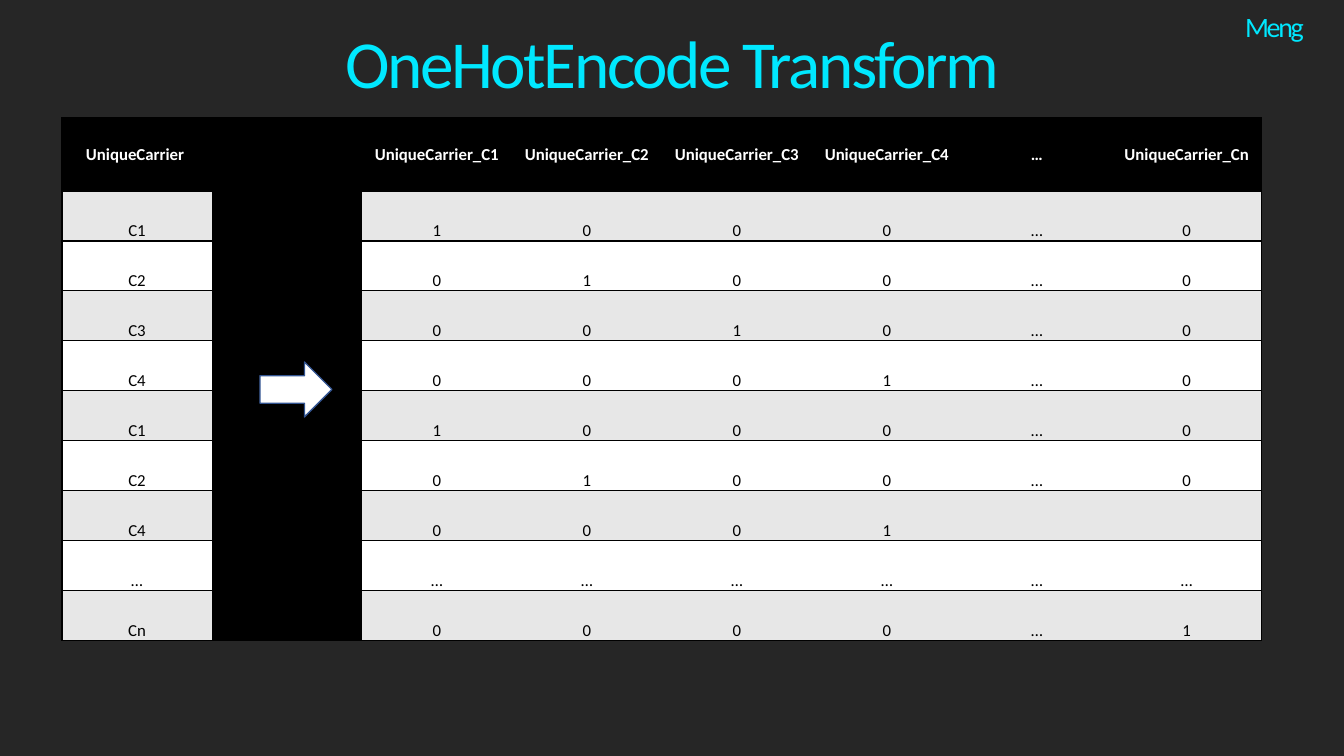
from lxml.etree import SubElement
from pptx import Presentation
from pptx.dml.color import RGBColor
from pptx.enum.shapes import MSO_SHAPE
from pptx.enum.text import MSO_ANCHOR, PP_ALIGN
from pptx.oxml.ns import qn
from pptx.util import Pt

PX = 914400 / 100.8
FONT = "Calibri"
BACKGROUND = RGBColor(0x26, 0x26, 0x26)
BLACK = RGBColor(0, 0, 0)
WHITE = RGBColor(0xFF, 0xFF, 0xFF)
BAND = RGBColor(0xE7, 0xE7, 0xE7)
ARROW_EDGE = RGBColor(0x32, 0x54, 0x91)
CYAN = RGBColor(0x00, 0xE8, 0xFF)
MAGENTA = RGBColor(0xFF, 0x00, 0xF7)

NO_GRID_STYLE = "{2D5ABB26-0587-4C30-8999-92F81FD0307C}"
ELLIPSIS = "…"
CATEGORIES = ["C1", "C2", "C3", "C4", ELLIPSIS, "Cn"]
CARRIERS = ["C1", "C2", "C3", "C4", "C1", "C2", "C4", ELLIPSIS, "Cn"]
SHORT_ROW, SHORT_LENGTH = 6, 4
ARROW_COLUMN = 1
COLUMN_WIDTH, HEADER_HEIGHT, ROW_HEIGHT = 150, 73, 50


def px(length):
    """Turn pixels into EMU."""
    return round(length * PX)


def place(shape, left, top, width, height):
    """Set the position and size of a shape in pixels."""
    shape.left, shape.top = px(left), px(top)
    shape.width, shape.height = px(width), px(height)


def write_heading(shape, wording, size):
    """Write a centred gradient heading into a shape."""
    frame = shape.text_frame
    frame.word_wrap = True
    frame.vertical_anchor = MSO_ANCHOR.BOTTOM
    frame.margin_left = frame.margin_right = px(3)
    frame.margin_top = frame.margin_bottom = px(3)
    paragraph = frame.paragraphs[0]
    paragraph.alignment = PP_ALIGN.CENTER
    paragraph.line_spacing = 0.9
    run = paragraph.add_run()
    run.text = wording
    run.font.name = FONT
    run.font.size = Pt(size)
    run.font.fill.gradient()
    run.font.fill.gradient_angle = 294
    for stop, color in zip(run.font.fill.gradient_stops, (CYAN, MAGENTA)):
        stop.color.rgb = color
    run.font._element.set("spc", "-170")


def add_borders(cell, sides):
    """Draw thin black lines on the given sides of a cell."""
    properties = cell._tc.get_or_add_tcPr()
    for position, side in enumerate(sides):
        border = SubElement(properties, qn(f"a:ln{side}"), w=str(Pt(1)))
        fill = SubElement(border, qn("a:solidFill"))
        SubElement(fill, qn("a:srgbClr"), val=str(BLACK))
        properties.insert(position, border)


def fill_cell(cell, wording, background, header):
    """Fill a cell and write its centred wording."""
    cell.fill.solid()
    cell.fill.fore_color.rgb = background
    if not wording:
        return
    cell.vertical_anchor = MSO_ANCHOR.MIDDLE if header else MSO_ANCHOR.BOTTOM
    cell.margin_left = cell.margin_right = cell.margin_top = px(1)
    cell.margin_bottom = 0
    paragraph = cell.text_frame.paragraphs[0]
    paragraph.alignment = PP_ALIGN.CENTER
    run = paragraph.add_run()
    run.text = wording
    run.font.name = FONT
    run.font.size = Pt(12)
    run.font.bold = header
    run.font.color.rgb = WHITE if header else BLACK


def encode(carrier, category):
    """Return the one-hot value of a carrier for a category."""
    if ELLIPSIS in (carrier, category):
        return ELLIPSIS
    return str(int(carrier == category))


def encoding_rows():
    """Build the header and the encoded rows."""
    names = [c if c == ELLIPSIS else f"UniqueCarrier_{c}" for c in CATEGORIES]
    rows = [["UniqueCarrier ", "", *names]]
    for index, carrier in enumerate(CARRIERS):
        values = [encode(carrier, category) for category in CATEGORIES]
        if index == SHORT_ROW:
            values[SHORT_LENGTH:] = [""] * (len(values) - SHORT_LENGTH)
        rows.append([carrier, "", *values])
    return rows


def add_encoding_table(slide, left, top):
    """Add the table that maps carriers to one-hot columns."""
    rows = encoding_rows()
    last = len(rows[0]) - 1
    frame = slide.shapes.add_table(
        len(rows), last + 1, px(left), px(top), px(COLUMN_WIDTH * (last + 1)),
        px(HEADER_HEIGHT + ROW_HEIGHT * len(CARRIERS)))
    table = frame.table
    table._tbl.tblPr.find(qn("a:tableStyleId")).text = NO_GRID_STYLE
    for column in table.columns:
        column.width = px(COLUMN_WIDTH)
    for r, wordings in enumerate(rows):
        header = r == 0
        table.rows[r].height = px(HEADER_HEIGHT if header else ROW_HEIGHT)
        band = BLACK if header else BAND if r % 2 else WHITE
        for c, wording in enumerate(wordings):
            cell = table.cell(r, c)
            fill_cell(cell, wording, BLACK if c == ARROW_COLUMN else band, header)
            add_borders(cell, {0: "LTB", last: "RTB"}.get(c, "TB"))
    table.cell(0, ARROW_COLUMN).merge(table.cell(len(CARRIERS), ARROW_COLUMN))


def add_transform_arrow(slide, left, top, width, height):
    """Add the arrow from the carriers to the encoded columns."""
    arrow = slide.shapes.add_shape(
        MSO_SHAPE.RIGHT_ARROW, px(left), px(top), px(width), px(height))
    arrow.shadow.inherit = False
    arrow.fill.solid()
    arrow.fill.fore_color.rgb = WHITE
    arrow.line.color.rgb = ARROW_EDGE
    arrow.line.width = Pt(1)


def main():
    """Build the slide and save it."""
    deck = Presentation()
    deck.slide_width, deck.slide_height = px(1344), px(756)
    slide = deck.slides.add_slide(deck.slide_layouts[5])
    slide.background.fill.solid()
    slide.background.fill.fore_color.rgb = BACKGROUND

    title = slide.shapes.title
    place(title, 70, -12, 1204, 118)
    write_heading(title, "OneHotEncode Transform", 48)
    add_encoding_table(slide, 62, 118)
    add_transform_arrow(slide, 260, 362, 72, 55)
    presenter = slide.shapes.add_textbox(px(1079), px(-13), px(391), px(60))
    write_heading(presenter, "Meng", 20)
    deck.save("out.pptx")


if __name__ == "__main__":
    main()
